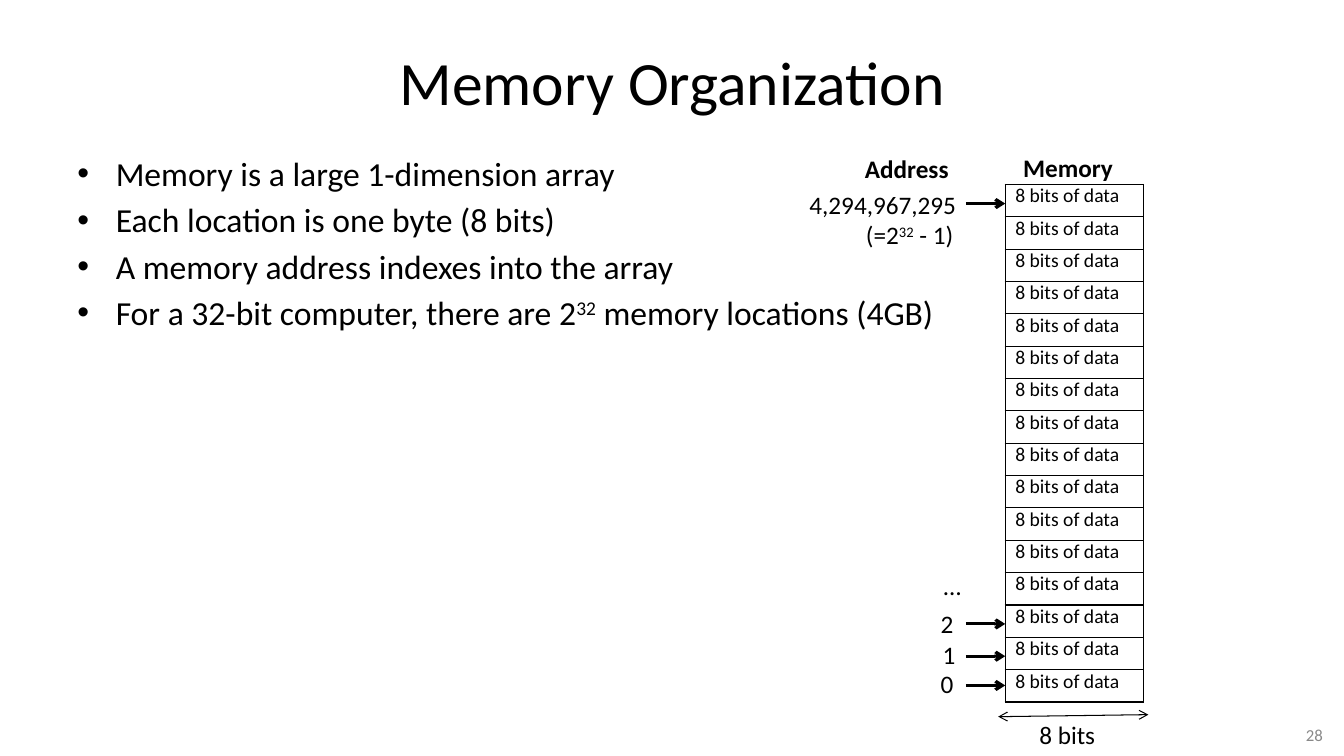
from lxml import etree
from pptx import Presentation
from pptx import util as u
from pptx.dml.color import RGBColor
from pptx.enum import shapes, text
from pptx.oxml.ns import qn

COLORS = {"ink": "000000", "paper": "FFFFFF", "muted": "898989"}


class Deck:
    """Style and current slide, with one method per kind of element."""

    font = "Calibri"

    def __init__(self, prs):
        self.s = prs.slides.add_slide(prs.slide_layouts[6])

    def style(self, p, size, color="ink", bold=False):
        for r in p.runs:
            r.font.name = self.font
            r.font.size = u.Pt(size)
            r.font.bold = bold
            r.font.color.rgb = RGBColor.from_string(COLORS[color])

    def fill_paragraph(self, p, content):
        if "^" not in content:
            p.text = content
            return
        for i, part in enumerate(content.split("^")):
            r = p.add_run()
            r.text = part
            if i % 2:
                r._r.get_or_add_rPr().set("baseline", "30000")

    def indent(self, p, left, first=0):
        pPr = p._p.get_or_add_pPr()
        pPr.set("marL", str(u.Inches(left)))
        pPr.set("indent", str(u.Inches(first)))
        return pPr

    def text(self, box, lines, size=18, color="ink", bold=False, align="LEFT", anchor="TOP"):
        tf = self.s.shapes.add_textbox(*map(u.Inches, box)).text_frame
        tf.word_wrap = True
        tf.vertical_anchor = getattr(text.MSO_ANCHOR, anchor)
        for i, line in enumerate(lines):
            p = tf.add_paragraph() if i else tf.paragraphs[0]
            self.fill_paragraph(p, line)
            p.alignment = getattr(text.PP_ALIGN, align)
            self.style(p, size, color, bold)
        return tf

    def bullets(self, box, lines, size):
        tf = self.text(box, lines, size)
        for i, p in enumerate(tf.paragraphs):
            pPr = self.indent(p, 0.38, -0.38)
            etree.SubElement(pPr, qn("a:buFont"), typeface="Arial")
            etree.SubElement(pPr, qn("a:buChar"), char="•")
            if i:
                p.space_before = u.Pt(4.2)

    def arrow(self, start, end, width, both=False):
        ends = [u.Inches(v) for v in (*start, *end)]
        sp = self.s.shapes.add_connector(shapes.MSO_CONNECTOR.STRAIGHT, *ends)
        sp.line.color.rgb = RGBColor.from_string(COLORS["ink"])
        sp.line.width = u.Pt(width)
        ln = sp.line._get_or_add_ln()
        for tag in (["a:headEnd"] if both else []) + ["a:tailEnd"]:
            etree.SubElement(ln, qn(tag), type="arrow")
        etree.SubElement(sp._element.spPr, qn("a:effectLst"))

    def column(self, box, rows, content, size):
        tbl = self.s.shapes.add_table(rows, 1, *map(u.Inches, box)).table
        tbl.first_row = tbl.horz_banding = False
        for row in tbl.rows:
            row.height = u.Inches(box[3] / rows)
            c = row.cells[0]
            p = c.text_frame.paragraphs[0]
            p.text = content
            p.line_spacing = 0.7
            self.style(p, size)
            tcPr = c._tc.get_or_add_tcPr()
            for side in ("lnL", "lnR", "lnT", "lnB"):
                ln = etree.SubElement(tcPr, qn("a:" + side), w=str(u.Pt(1)))
                solid = etree.SubElement(ln, qn("a:solidFill"))
                etree.SubElement(solid, qn("a:srgbClr"), val=COLORS["ink"])
            c.fill.solid()
            c.fill.fore_color.rgb = RGBColor.from_string(COLORS["paper"])


def main():
    prs = Presentation()
    prs.slide_width, prs.slide_height = u.Inches(13.33), u.Inches(7.5)
    d = Deck(prs)
    d.text((0.67, 0.3, 12, 1.01), ["Memory Organization"], 44, align="CENTER", anchor="MIDDLE")
    d.bullets((0.67, 1.47, 12, 5.51), [
        "Memory is a large 1-dimension array",
        "Each location is one byte (8 bits)",
        "A memory address indexes into the array",
        "For a 32-bit computer, there are 2^32^ memory locations (4GB)",
    ], 24)
    d.text((11.79, 7.14, 1.43, 0.29), ["28"], 12, "muted", align="RIGHT", anchor="MIDDLE")

    d.column((9.97, 1.83, 1.37, 5.14), 16, "8 bits of data", 14)
    d.arrow((9.9, 7.11), (11.39, 7.09), 0.75, both=True)
    d.text((10.21, 7.09, 0.95, 0.4), ["8 bits"])
    d.text((10.05, 1.46, 1.13, 0.4), ["Memory"], bold=True)
    d.text((8.48, 1.47, 1.13, 0.4), ["Address"], bold=True)

    top = d.text((7.93, 1.83, 1.75, 0.71), ["4,294,967,295", "(=2^32^ - 1)"])
    d.indent(top.paragraphs[1], 0.56)
    for y in (2.02, 6.19, 6.51, 6.8):
        d.arrow((9.58, y), (9.97, y), 2.25)
    for label, x, y in (("0", 9.23, 6.58), ("1", 9.25, 6.29), ("2", 9.23, 5.99), ("…", 9.26, 5.61)):
        d.text((x, y, 0.35, 0.4), [label])
    prs.save("out.pptx")


if __name__ == "__main__":
    main()
